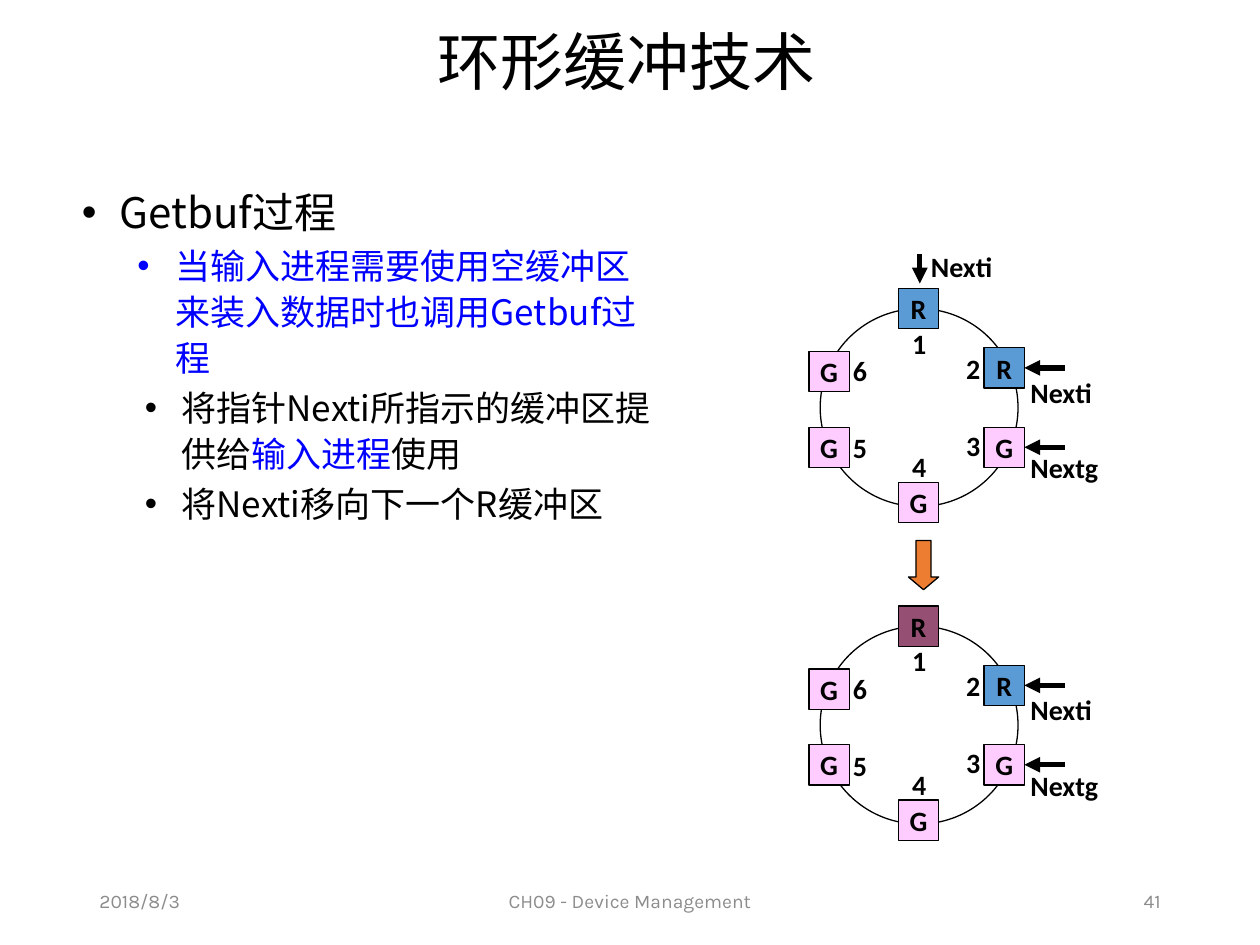
import pptx
import pptx.util
import pptx.dml.color
import pptx.enum.shapes
import pptx.enum.text
import pptx.oxml.ns
from lxml import etree

Inches = pptx.util.Inches
Pt = pptx.util.Pt
qn = pptx.oxml.ns.qn
SHAPES = pptx.enum.shapes.MSO_SHAPE
ALIGN = pptx.enum.text.PP_ALIGN
MIDDLE = pptx.enum.text.MSO_ANCHOR.MIDDLE

CJK = "Noto Sans CJK SC"
BLACK, BLUE, GRAY = "000000", "0000FF", "8C8C8C"
READY, FULL, TAKEN, ORANGE = "5B9BD5", "FFCCFF", "954F72", "ED7D31"
BOX = 0.32

# Buffer number: box left, box top, label left, label top, relative to the ring
BUFFERS = {
    1: (0.62, -0.16, 0.63, 0.09),
    2: (1.30, 0.31, 1.06, 0.29),
    3: (1.30, 0.94, 1.06, 0.90),
    4: (0.62, 1.38, 0.63, 1.07),
    5: (-0.09, 0.94, 0.16, 0.92),
    6: (-0.09, 0.34, 0.16, 0.31),
}


def color(hex_string):
    return pptx.dml.color.RGBColor.from_string(hex_string)


def add_text(paragraph, text, size=16, font="Calibri", fill=BLACK, bold=False):
    run = paragraph.add_run()
    run.text = text
    run.font.size = Pt(size)
    run.font.name = font
    run.font.bold = bold
    run.font.color.rgb = color(fill)
    if font == CJK:
        etree.SubElement(run.font._element, qn("a:ea"), typeface=font)


def place(shape, left, top, width, height):
    shape.left, shape.top = Inches(left), Inches(top)
    shape.width, shape.height = Inches(width), Inches(height)


def add_label(slide, text, left, top, width, height=0.37, align=ALIGN.LEFT,
              anchor=pptx.enum.text.MSO_ANCHOR.TOP, **text_format):
    label = slide.shapes.add_textbox(
        Inches(left), Inches(top), Inches(width), Inches(height))
    label.text_frame.word_wrap = True
    label.text_frame.vertical_anchor = anchor
    paragraph = label.text_frame.paragraphs[0]
    paragraph.alignment = align
    add_text(paragraph, text, **text_format)


def add_outlined(slide, kind, left, top, width, height, fill=None):
    shape = slide.shapes.add_shape(
        kind, Inches(left), Inches(top), Inches(width), Inches(height))
    shape.shadow.inherit = False
    if fill:
        shape.fill.solid()
        shape.fill.fore_color.rgb = color(fill)
    else:
        shape.fill.background()
    shape.line.color.rgb = color(BLACK)
    shape.line.width = Pt(0.75)
    return shape


def add_buffer(slide, letter, left, top, fill):
    box = add_outlined(slide, SHAPES.RECTANGLE, left, top, BOX, BOX, fill)
    box.text_frame.word_wrap = False
    box.text_frame.vertical_anchor = MIDDLE
    paragraph = box.text_frame.paragraphs[0]
    paragraph.alignment = ALIGN.CENTER
    add_text(paragraph, letter, bold=True)
    return box


def add_arrow(slide, start, end):
    arrow = slide.shapes.add_connector(
        pptx.enum.shapes.MSO_CONNECTOR.STRAIGHT,
        *(Inches(value) for value in start + end))
    arrow.line.color.rgb = color(BLACK)
    arrow.line.width = Pt(3)
    etree.SubElement(arrow.line._get_or_add_ln(), qn("a:tailEnd"), type="triangle")
    etree.SubElement(arrow._element.spPr, qn("a:effectLst"))
    return arrow


def add_ring(slide, left, top, first_fill):
    add_outlined(slide, SHAPES.OVAL, left, top, 1.57, 1.57)
    fills = {1: first_fill, 2: READY}
    boxes = {}
    for number, (box_x, box_y, label_x, label_y) in BUFFERS.items():
        letter = "R" if number in fills else "G"
        boxes[number] = add_buffer(slide, letter, left + box_x, top + box_y,
                                   fills.get(number, FULL))
        add_label(slide, str(number), left + label_x, top + label_y, BOX, bold=True)

    # Pointers to the next empty and the next full buffer
    for number, name, name_y in ((2, "Nexti", 0.48), (3, "Nextg", 1.08)):
        box_x, box_y = BUFFERS[number][:2]
        middle = top + box_y + BOX / 2
        arrow = add_arrow(slide, (left + 1.94, middle), (left + box_x + BOX, middle))
        arrow.end_connect(boxes[number], 3)
        add_label(slide, name, left + 1.57, top + name_y, 0.82, bold=True)


def add_bullet(paragraph, parts, size, left, hanging, level):
    paragraph.level = level
    paragraph.line_spacing = 1.1
    paragraph.space_before = Pt(2)
    properties = paragraph._p.get_or_add_pPr()
    properties.set("marL", str(Inches(left)))
    properties.set("indent", str(-Inches(hanging)))
    etree.SubElement(properties, qn("a:buFont"), typeface="Arial")
    etree.SubElement(properties, qn("a:buChar"), char="•")
    for text, fill in parts:
        add_text(paragraph, text, size=size, font=CJK, fill=fill)


def fill_title(title):
    place(title, 0.66, 0.14, 8.62, 0.76)
    title.text_frame.auto_size = pptx.enum.text.MSO_AUTO_SIZE.NONE
    title.text_frame.vertical_anchor = MIDDLE
    paragraph = title.text_frame.paragraphs[0]
    paragraph.alignment = ALIGN.CENTER
    paragraph.line_spacing = 0.9
    add_text(paragraph, "环形缓冲技术", size=36, font=CJK)


def fill_body(body):
    place(body, 0.5, 1.39, 4.81, 5.75)
    frame = body.text_frame
    frame.auto_size = pptx.enum.text.MSO_AUTO_SIZE.NONE
    bullets = [
        ([("Getbuf过程", BLACK)], 24, 0.35, 0.3, 0),
        ([("当输入进程需要使用空缓冲区来装入数据时也调用Getbuf过程", BLUE)],
         20, 0.79, 0.3, 1),
        ([("将指针Nexti所指示的缓冲区提供给", BLACK), ("输入进程", BLUE),
          ("使用", BLACK)], 20, 0.84, 0.29, 1),
        ([("将Nexti移向下一个R缓冲区", BLACK)], 20, 0.84, 0.29, 1),
    ]
    for index, bullet in enumerate(bullets):
        paragraph = frame.add_paragraph() if index else frame.paragraphs[0]
        add_bullet(paragraph, *bullet)


def main():
    presentation = pptx.Presentation()
    presentation.slide_width, presentation.slide_height = Inches(10), Inches(7.5)
    slide = presentation.slides.add_slide(presentation.slide_layouts[1])

    # Title and list
    fill_title(slide.shapes.title)
    fill_body(slide.placeholders[1])

    # Footer
    for text, left, width, align in (
            ("2018/8/3", 0.69, 2.25, ALIGN.LEFT),
            ("CH09 - Device Management", 3.31, 3.38, ALIGN.CENTER),
            ("41", 7.06, 2.25, ALIGN.RIGHT)):
        add_label(slide, text, left, 6.95, width, 0.4, align, MIDDLE,
                  size=11, font="Karla", fill=GRAY)

    # Ring before the call, with the pointer at buffer 1
    add_ring(slide, 6.51, 2.45, READY)
    add_arrow(slide, (7.3, 2.02), (7.3, 2.25))
    add_label(slide, "Nexti", 7.29, 1.93, 0.71, bold=True)

    # Ring after the call
    add_ring(slide, 6.51, 4.97, TAKEN)
    step = add_outlined(slide, SHAPES.DOWN_ARROW, 7.21, 4.29, 0.24, 0.39, ORANGE)
    step.adjustments[0], step.adjustments[1] = 0.5, 0.42

    presentation.save("out.pptx")


if __name__ == "__main__":
    main()
